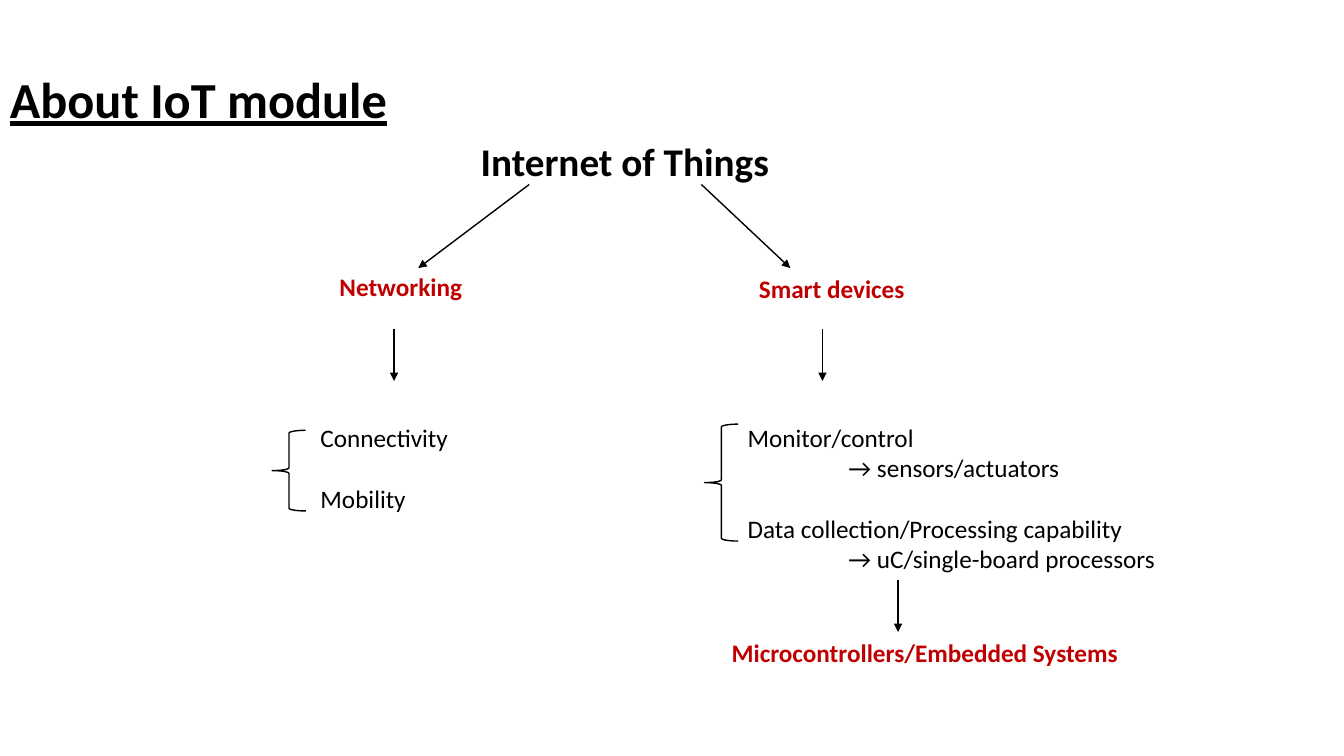
import pptx
import pptx.util
import pptx.dml.color
import pptx.enum.shapes
import pptx.enum.text
import pptx.oxml
import pptx.oxml.ns

Pt = pptx.util.Pt

# Content: text, style, left, top, width, height
TITLE = ("About IoT module", "title", 0, 41, 807, 64)
LABELS = [
    ("Internet of Things", "topic", 336.3, 94.3, 222.5, 41),
    ("Networking", "branch", 235.4, 190, 103, 29),
    ("Smart devices", "branch", 535, 191.5, 119.5, 29),
    ("Microcontrollers/Embedded Systems", "branch", 515.5, 451.5, 291, 29),
]

# Each group holds (point, detail) pairs
NETWORKING = [("Connectivity", None), ("Mobility", None)]
SMART_DEVICES = [
    ("Monitor/control", "→ sensors/actuators"),
    ("Data collection/Processing capability", "→ uC/single-board processors"),
]
GROUPS = [
    (NETWORKING, 221.8, 298, 106.5, 73),
    (SMART_DEVICES, 527, 298, 318, 117),
]
BRACES = [(194.4, 307.4, 57.6), (503.3, 303, 83.5)]  # left, top, height

TOPIC_ARROWS = [((378, 131.8), (298.8, 191.5)), ((501, 131.8), (564.5, 191.5))]
DOWN_ARROWS = [(281.5, 234.7), (587.5, 234.7), (641.5, 414)]

DOWN_LENGTH = 37.4
BRACE_WIDTH = 24
DETAIL_INDENT = 72
GROUP_GAP = 22

THEME = {
    "black": pptx.dml.color.RGBColor(0, 0, 0),
    "red": pptx.dml.color.RGBColor(0xC0, 0, 0),
    "line": Pt(1),
    "title": ("black", {"size": Pt(36), "bold": True, "underline": True}),
    "topic": ("black", {"size": Pt(28), "bold": True}),
    "branch": ("red", {"size": Pt(18), "bold": True}),
    "body": ("black", {"size": Pt(18)}),
    "font": "Calibri",
}


def set_all(target, values):
    for key, value in values.items():
        setattr(target, key, value)


def add_frame(slide, left, top, width, height, wrap=False):
    box = slide.shapes.add_textbox(Pt(left), Pt(top), Pt(width), Pt(height))
    sizing = pptx.enum.text.MSO_AUTO_SIZE
    set_all(box.text_frame, {
        "word_wrap": wrap,
        "auto_size": sizing.NONE if wrap else sizing.SHAPE_TO_FIT_TEXT,
    })
    return box.text_frame


def write(paragraph, text, style):
    run = paragraph.add_run()
    run.text = text
    color, values = THEME[style]
    set_all(run.font, {"name": THEME["font"], **values})
    run.font.color.rgb = THEME[color]


def add_group(slide, points, *bounds):
    """Write points one gap apart, each with its detail indented below."""
    frame = add_frame(slide, *bounds)
    for index, (point, detail) in enumerate(points):
        heading = frame.add_paragraph() if index else frame.paragraphs[0]
        if index:
            heading.space_before = Pt(GROUP_GAP)
        write(heading, point, "body")
        if detail:
            line = frame.add_paragraph()
            line._p.get_or_add_pPr().set("marL", str(Pt(DETAIL_INDENT)))
            write(line, detail, "body")


def add_arrow(slide, start, end):
    arrow = slide.shapes.add_connector(
        pptx.enum.shapes.MSO_CONNECTOR.STRAIGHT, *map(Pt, (*start, *end)))
    arrow.line.color.rgb = THEME["black"]
    arrow.line.width = THEME["line"]
    outline = arrow.line._get_or_add_ln()
    outline.append(pptx.oxml.parse_xml(
        f'<a:tailEnd {pptx.oxml.ns.nsdecls("a")} type="triangle"/>'))
    outline.addnext(pptx.oxml.parse_xml(
        f'<a:effectLst {pptx.oxml.ns.nsdecls("a")}/>'))


def add_brace(slide, left, top, height):
    brace = slide.shapes.add_shape(
        pptx.enum.shapes.MSO_SHAPE.LEFT_BRACE,
        Pt(left), Pt(top), Pt(BRACE_WIDTH), Pt(height))
    brace.shadow.inherit = False
    brace.fill.background()
    brace.line.color.rgb = THEME["black"]
    brace.line.width = THEME["line"]


def main():
    deck = pptx.Presentation()
    set_all(deck, {"slide_width": Pt(960), "slide_height": Pt(540)})
    slide = deck.slides.add_slide(deck.slide_layouts[6])

    text, style, *bounds = TITLE
    title = add_frame(slide, *bounds, wrap=True)
    title.vertical_anchor = pptx.enum.text.MSO_ANCHOR.MIDDLE
    title.paragraphs[0].line_spacing = 0.9
    write(title.paragraphs[0], text, style)

    for text, style, *bounds in LABELS:
        write(add_frame(slide, *bounds).paragraphs[0], text, style)
    for group in GROUPS:
        add_group(slide, *group)
    for brace in BRACES:
        add_brace(slide, *brace)
    for start, end in TOPIC_ARROWS:
        add_arrow(slide, start, end)
    for x, y in DOWN_ARROWS:
        add_arrow(slide, (x, y), (x, y + DOWN_LENGTH))

    deck.save("out.pptx")


if __name__ == "__main__":
    main()
